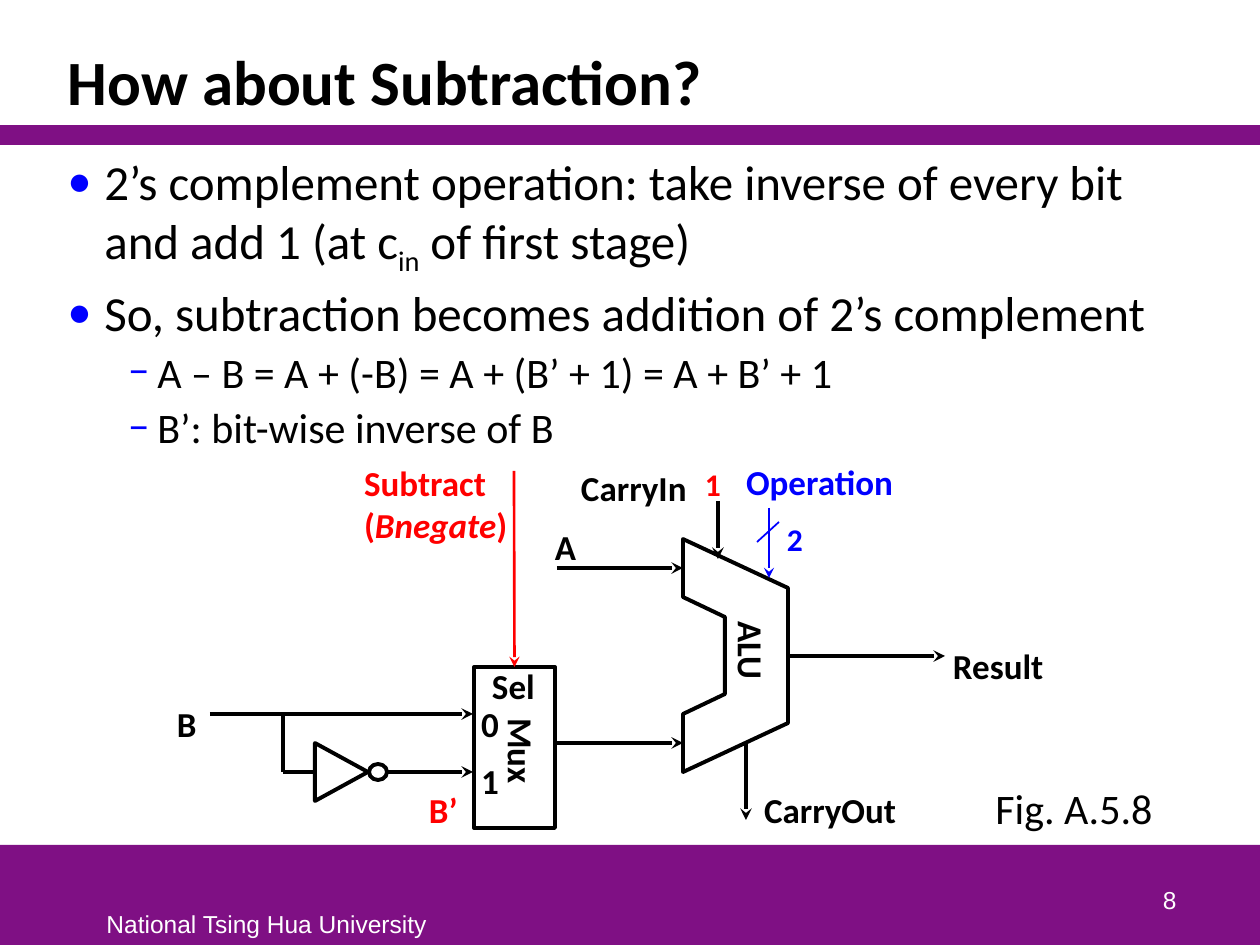
from lxml import etree
from pptx import Presentation, util as u
from pptx.dml import color
from pptx.enum import shapes, text
from pptx.oxml.ns import qn

EMU_PER_PX = 914400 / 126
BLACK, RED, BLUE, PURPLE, WHITE = "000000", "FF0000", "0000FF", "7F1084", "FFFFFF"


def px(length):
    return u.Emu(round(length * EMU_PER_PX))


def rgb(code):
    return color.RGBColor.from_string(code)


class Page:
    """Style and drawing methods for one slide."""
    font = "Calibri"
    stroke = 2.25

    def __init__(self, deck):
        self.page = deck.slides.add_slide(deck.slide_layouts[5])
        self.shapes = self.page.shapes

    def span(self, para, words, size, code=BLACK, bold=False, italic=False, font=None):
        span = para.add_run()
        span.text = words
        style = span.font
        style.name, style.size = font or self.font, u.Pt(size)
        style.bold, style.italic = bold, italic
        style.color.rgb = rgb(code)
        return span

    def title(self, words, left, top, width, height):
        box = self.shapes.title
        box.left, box.top, box.width, box.height = map(px, (left, top, width, height))
        frame = box.text_frame
        frame.auto_size = text.MSO_AUTO_SIZE.NONE
        frame.vertical_anchor = text.MSO_ANCHOR.BOTTOM
        para = frame.paragraphs[0]
        para.alignment, para.line_spacing = text.PP_ALIGN.LEFT, 0.85
        self.span(para, words, 36, bold=True)

    def frame(self, left, top, width, height, wrap=False, inset=None, turn=0):
        box = self.shapes.add_textbox(px(left), px(top), px(width), px(height))
        box.rotation = turn
        frame = box.text_frame
        frame.word_wrap = wrap
        if inset:
            frame.margin_left = frame.margin_right = px(inset)
        return frame

    def label(self, words, left, top, width, code=BLACK, size=20, turn=0):
        frame = self.frame(left, top, width, 54 if size == 20 else 50, inset=11, turn=turn)
        self.span(frame.paragraphs[0], words, size, code, bold=True)

    def bullet(self, para, mark, margin, hanging, level=0):
        para.level, para.space_before = level, u.Pt(3)
        props = para._p.get_or_add_pPr()
        props.set("marL", str(px(margin)))
        props.set("indent", str(-px(hanging)))
        tint = etree.SubElement(props, qn("a:buClr"))
        etree.SubElement(tint, qn("a:srgbClr")).set("val", BLUE)
        etree.SubElement(props, qn("a:buFont")).set("typeface", self.font)
        etree.SubElement(props, qn("a:buChar")).set("char", mark)

    def outline(self, shape):
        shape.shadow.inherit = False
        shape.fill.background()
        shape.line.color.rgb = rgb(BLACK)
        shape.line.width = u.Pt(self.stroke)
        return shape

    def shape(self, kind, left, top, width, height):
        return self.outline(self.shapes.add_shape(
            kind, px(left), px(top), px(width), px(height)))

    def bar(self, top, height):
        bar = self.shape(shapes.MSO_SHAPE.RECTANGLE, 0, top, 1260, height)
        bar.fill.solid()
        bar.fill.fore_color.rgb = rgb(PURPLE)
        bar.line.fill.background()

    def polygon(self, points):
        builder = self.shapes.build_freeform(*points[0], scale=EMU_PER_PX)
        builder.add_line_segments(points[1:], close=True)
        return self.outline(builder.convert_to_shape())

    def line(self, x1, y1, x2, y2, code=BLACK, width=None, arrow=False):
        line = self.shapes.add_connector(
            shapes.MSO_CONNECTOR.STRAIGHT, px(x1), px(y1), px(x2), px(y2))
        line.line.color.rgb = rgb(code)
        line.line.width = u.Pt(width or self.stroke)
        if arrow:
            etree.SubElement(line.line._get_or_add_ln(), qn("a:tailEnd")).set("type", "stealth")
        etree.SubElement(line._element.spPr, qn("a:effectLst"))
        return line


def main():
    deck = Presentation()
    deck.slide_width, deck.slide_height = px(1260), px(945)
    page = Page(deck)

    # Bands, footer and slide number
    page.bar(845, 100)
    page.bar(125, 20)
    footer = page.frame(94, 903, 348, 42)
    page.span(footer.paragraphs[0], "National Tsing Hua University", 14, WHITE, font="Arial")
    number = page.frame(927, 858, 262, 63, wrap=True)
    number.vertical_anchor = text.MSO_ANCHOR.BOTTOM
    number.paragraphs[0].alignment = text.PP_ALIGN.RIGHT
    page.span(number.paragraphs[0], "8", 14, WHITE, font="Arial")

    # Title and bullets
    page.title("How about Subtraction?", 55, 32, 1149, 93)
    body = page.frame(55, 145, 1149, 697, wrap=True)
    para = body.paragraphs[0]
    page.bullet(para, "•", 37, 37)
    page.span(para, "2’s complement operation: take inverse of every bit and add 1 (at c", 28)
    page.span(para, "in", 28).font._element.set("baseline", "-25000")
    page.span(para, " of first stage)", 28)
    para = body.add_paragraph()
    page.bullet(para, "•", 37, 37)
    page.span(para, "So, subtraction becomes addition of 2’s complement", 28)
    for words in ("A – B = A + (-B) = A + (B’ + 1) = A + B’ + 1", "B’: bit-wise inverse of B"):
        para = body.add_paragraph()
        page.bullet(para, "−", 90, 29, level=1)
        page.span(para, words, 24)

    # ALU, multiplexer and inverter
    page.polygon([(683, 539), (788, 588), (788, 723), (683, 772),
                  (683, 714), (725, 694), (725, 617), (683, 597)])
    mux = page.shape(shapes.MSO_SHAPE.RECTANGLE, 474, 667, 81, 161)
    page.polygon([(315, 743), (368, 772), (315, 801)])
    page.shape(shapes.MSO_SHAPE.OVAL, 369, 764, 18, 16)

    # Signal wires
    for ends in ((557, 568, 683, 568), (557, 743, 683, 743), (788, 656, 945, 656),
                 (718, 501, 718, 559), (746, 743, 746, 820),
                 (210, 714, 473, 714), (388, 772, 473, 772)):
        page.line(*ends, arrow=True)
    page.line(283, 714, 283, 772)
    page.line(283, 772, 315, 772)

    # Control wires
    select = page.line(514, 471, 514, 667, RED, 1.5, arrow=True)
    select.end_connect(mux, 0)
    page.line(769, 508, 769, 578, BLUE, 1, arrow=True)
    page.line(757, 542, 779, 522, BLUE, 1)

    # Labels
    for words, left, top, width, *style in (
            ("A", 544, 519, 45), ("B", 166, 696, 44), ("B’", 418, 782, 53, RED),
            ("Result", 942, 638, 115), ("CarryIn", 570, 460, 131),
            ("CarryOut", 753, 782, 158), ("Operation", 735, 454, 173, BLUE),
            ("Sel", 481, 658, 67), ("0", 470, 696, 42), ("1", 470, 753, 42),
            ("ALU", 711, 624, 82, BLACK, 20, 90), ("Mux", 477, 725, 90, BLACK, 20, 90),
            ("2", 776, 514, 40, BLUE, 18), ("1", 694, 459, 40, RED, 18)):
        page.label(words, left, top, width, *style)
    subtract = page.frame(353, 455, 168, 97, inset=11)
    page.span(subtract.paragraphs[0], "Subtract", 20, RED, bold=True)
    para = subtract.add_paragraph()
    for words, italic in (("(", False), ("Bnegate", True), (")", False)):
        page.span(para, words, 20, RED, bold=True, italic=italic)
    figure = page.frame(983, 776, 184, 63)
    page.span(figure.paragraphs[0], "Fig. A.5.8", 24)

    deck.save("out.pptx")


if __name__ == "__main__":
    main()
